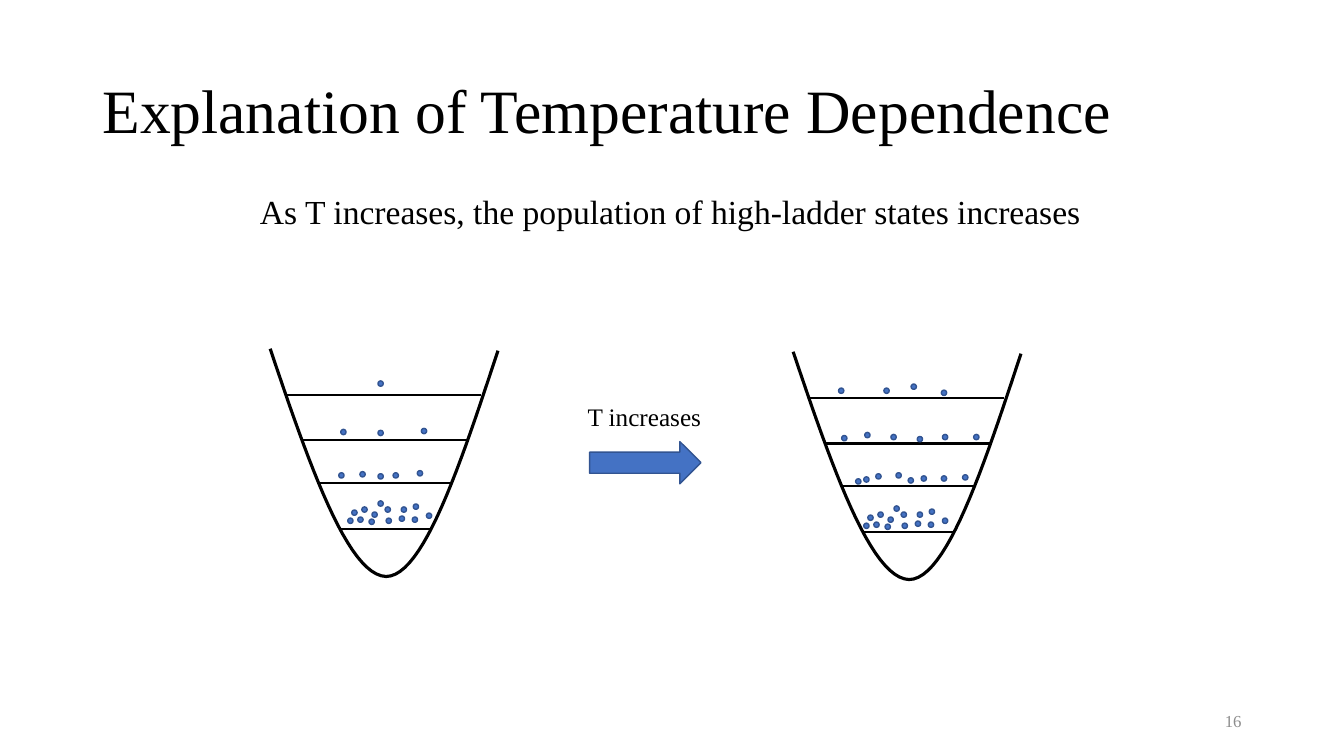
from pptx import Presentation
from pptx.dml.color import RGBColor
from pptx.enum.shapes import MSO_CONNECTOR, MSO_SHAPE
from pptx.enum.text import MSO_ANCHOR, MSO_AUTO_SIZE, PP_ALIGN
from pptx.oxml.ns import qn
from pptx.util import Pt
from lxml.etree import SubElement

COLORS = {"text": "000000", "number": "8C8C8C", "fill": "4472C4", "edge": "325491"}
FONT = "Times New Roman"
DOT = 3.8
STEPS = 24

# Two cubic curves of the well, in points from its top left corner
WELL_CURVES = [
    [(0, 0), (27.4, 81.4), (55.4, 162), (82.8, 162.7)],
    [(82.8, 162.7), (109.4, 162.7), (136.1, 82.1), (162.7, 1.4)],
]
# Energy levels: left end, right end, height
LEVELS = [(49, 115.2, 128.9), (34.6, 129.6, 95.8), (23, 141.8, 65.5), (10.8, 150.5, 33.1)]

# Particles: top left corner of each dot, measured from the well
GROUND = [
    (101.5, 120.2), (93.6, 113), (72.7, 116.6), (82.8, 121), (62.6, 120.2),
    (92.2, 119.5), (111.6, 117.4), (58.3, 115.2), (82.1, 113), (65.5, 113),
    (70.6, 121.7), (55.4, 121), (77, 108.7), (102.2, 110.9),
]
COLD = GROUND + [
    (49, 88.6), (64.1, 87.8), (77, 89.3), (87.8, 88.6), (105.1, 87.1),
    (50.4, 57.6), (77, 58.3), (108, 56.9),
    (77, 23),
]
HOT = [(x - 5, y + 1.4) for x, y in GROUND] + [
    (44.6, 90.7), (50.4, 89.3), (59, 87.1), (73.4, 86.4),
    (82.1, 90), (91.4, 88.6), (105.8, 88.6), (121, 87.8),
    (34.6, 59.8), (51.1, 57.6), (69.8, 59), (88.6, 60.5), (106.6, 59), (128.9, 59),
    (32.4, 25.9), (64.8, 25.9), (84.2, 23), (105.8, 27.4),
]


def rgb(name):
    return RGBColor.from_string(COLORS[name])


def set_text(sp, text, size, color="text", align=PP_ALIGN.LEFT,
             anchor=MSO_ANCHOR.TOP, wrap=True):
    tf = sp.text_frame
    tf.auto_size = MSO_AUTO_SIZE.NONE
    tf.word_wrap = wrap
    tf.vertical_anchor = anchor
    p = tf.paragraphs[0]
    p.alignment = align
    r = p.add_run()
    r.text = text
    r.font.name = FONT
    r.font.size = Pt(size)
    r.font.color.rgb = rgb(color)
    return p


def add_label(s, box, text, size, **style):
    sp = s.shapes.add_textbox(*map(Pt, box))
    set_text(sp, text, size, **style)


def add_title(s, box, text):
    sp = s.shapes.title
    sp.left, sp.top, sp.width, sp.height = map(Pt, box)
    p = set_text(sp, text, 44, anchor=MSO_ANCHOR.MIDDLE)
    p.line_spacing = 0.9


def add_blue_shape(s, kind, box):
    sp = s.shapes.add_shape(kind, *map(Pt, box))
    sp.shadow.inherit = False
    sp.fill.solid()
    sp.fill.fore_color.rgb = rgb("fill")
    sp.line.color.rgb = rgb("edge")
    sp.line.width = Pt(1)


def bezier(curve, t):
    weights = ((1 - t) ** 3, 3 * t * (1 - t) ** 2, 3 * t ** 2 * (1 - t), t ** 3)
    return tuple(sum(w * c for w, c in zip(weights, axis)) for axis in zip(*curve))


def add_well(s, left, top, dots):
    group = s.shapes.add_group_shape()

    # Potential curve
    points = [(Pt(left + x), Pt(top + y))
              for curve in WELL_CURVES
              for x, y in (bezier(curve, i / STEPS) for i in range(1, STEPS + 1))]
    builder = group.shapes.build_freeform(Pt(left), Pt(top))
    builder.add_line_segments(points, close=False)
    sp = builder.convert_to_shape()
    sp.shadow.inherit = False
    sp.fill.background()
    sp.line.color.rgb = rgb("text")
    sp.line.width = Pt(2.25)

    # Energy levels
    for x1, x2, y in LEVELS:
        line = group.shapes.add_connector(
            MSO_CONNECTOR.STRAIGHT,
            Pt(left + x1), Pt(top + y), Pt(left + x2), Pt(top + y))
        line.line.color.rgb = rgb("text")
        line.line.width = Pt(1.5)
        SubElement(line._element.spPr, qn("a:effectLst"))

    # Particles
    for x, y in dots:
        add_blue_shape(s, MSO_SHAPE.OVAL, (left + x, top + y, DOT, DOT))


def add_heating_arrow(s, left, top):
    add_label(s, (left - 8.6, top - 32.4, 96.5, 29), "T increases", 18, wrap=False)
    add_blue_shape(s, MSO_SHAPE.RIGHT_ARROW, (left, top, 79.5, 30.2))


def main():
    prs = Presentation()
    prs.slide_width, prs.slide_height = Pt(960), Pt(540)
    s = prs.slides.add_slide(prs.slide_layouts[5])

    add_title(s, (66, 28.8, 828, 104.4), "Explanation of Temperature Dependence")
    add_label(s, (178.6, 132.5, 606, 36),
              "As T increases, the population of high-ladder states increases",
              24, wrap=False)
    add_well(s, 193, 249.1, COLD)
    add_heating_arrow(s, 421.2, 315.4)
    add_well(s, 566.6, 251.3, HOT)
    add_label(s, (678, 500.5, 216, 28.8), "16", 12, color="number",
              align=PP_ALIGN.RIGHT, anchor=MSO_ANCHOR.MIDDLE)

    prs.save("out.pptx")


if __name__ == "__main__":
    main()
